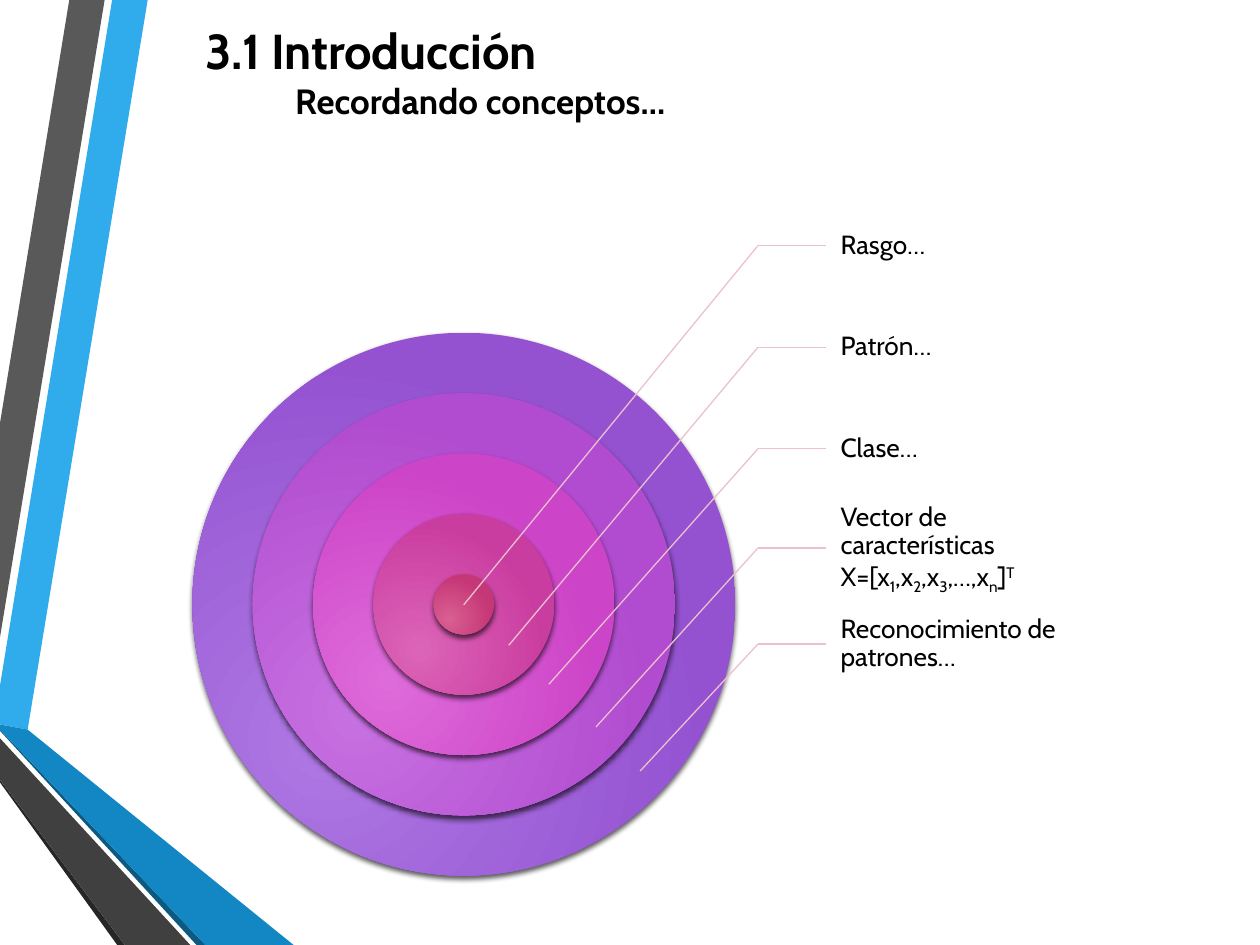
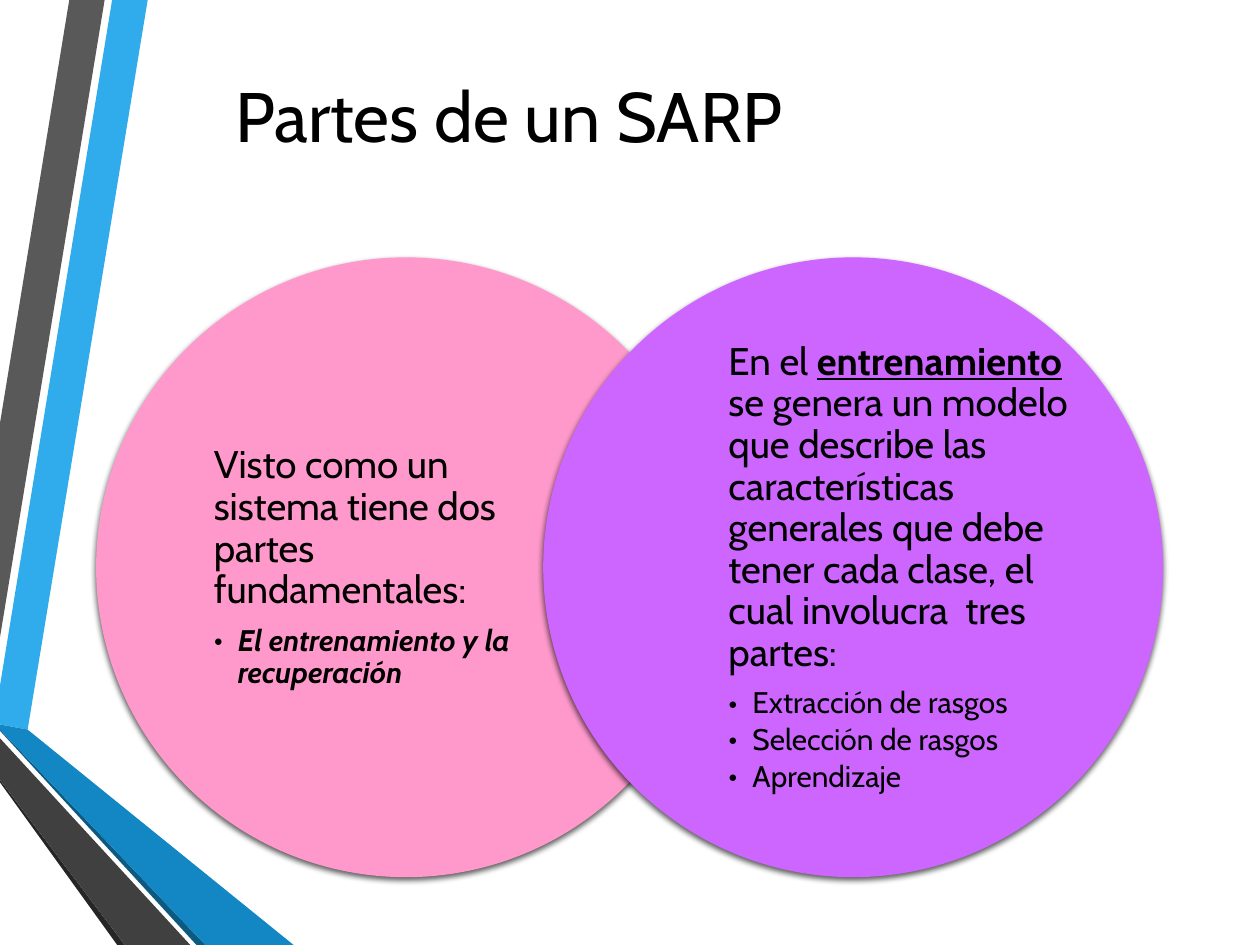
"""Build two slides on pattern recognition: nested concepts and the parts of a SARP."""
from dataclasses import dataclass

from lxml import etree
from pptx import Presentation
from pptx import util as u
from pptx.dml.color import RGBColor
from pptx.enum import shapes, text
from pptx.oxml.ns import qn

Pt = u.Pt


@dataclass(frozen=True)
class Theme:
    font: str = "Cabin"
    ink: str = "000000"
    line: str = "ECC1CF"
    pink: str = "FF99CC"
    purple: str = "CC66FF"
    head: int = 40
    topic: int = 28
    sub: int = 20
    body: int = 22
    item: int = 17
    label: int = 15
    tight: float = 0.9
    bands: tuple = ("30ACEC", "595959", "262626", "0C5A82", "1287C3", "404040")
    rings: tuple = (("AE78E3", "9452D1"), ("C771E1", "B14BCF"), ("DE6BDA", "CC44C7"),
                    ("DC64B7", "CA3DA0"), ("D95F92", "C63777"))


theme = Theme()


def write(box, place, paras, inset=(7.2, 3.6, 7.2, 3.6), space=1.0):
    """Place a box and fill it with paragraphs of (size, gap, bullet, runs)."""
    box.left, box.top, box.width, box.height = [Pt(n) for n in place]
    frame = box.text_frame
    frame.word_wrap = True
    frame.auto_size = text.MSO_AUTO_SIZE.NONE
    frame.vertical_anchor = text.MSO_ANCHOR.MIDDLE
    frame.margin_left, frame.margin_top, frame.margin_right, frame.margin_bottom = [
        Pt(n) for n in inset]
    for i, (size, gap, bullet, runs) in enumerate(paras):
        para = frame.add_paragraph() if i else frame.paragraphs[0]
        para.alignment = text.PP_ALIGN.LEFT
        para.line_spacing = space
        para.space_before, para.space_after = Pt(0), Pt(gap)
        if bullet:
            para.level = 1
            props = para._p.get_or_add_pPr()
            props.set("marL", str(Pt(13.7)))
            props.set("indent", str(-Pt(13.7)))
            etree.SubElement(props, qn("a:buFont")).set("typeface", theme.font)
            etree.SubElement(props, qn("a:buChar")).set("char", "•")
        for words, marks in runs:
            run = para.add_run()
            run.text = words
            run.font.name = theme.font
            run.font.size = Pt(size)
            run.font.color.rgb = RGBColor.from_string(theme.ink)
            run.font.bold = "b" in marks
            run.font.italic = "i" in marks
            run.font.underline = "u" in marks
            shift = {"-": "-25000", "+": "30000"}.get(marks)
            if shift:
                run._r.get_or_add_rPr().set("baseline", shift)


def disc(slide, x, y, size, tones):
    """Draw a shadowed circle around a centre, plain or shaded."""
    shape = slide.shapes.add_shape(shapes.MSO_SHAPE.OVAL, Pt(x - size / 2), Pt(y - size / 2),
                                   Pt(size), Pt(size))
    shape.line.fill.background()
    shape.shadow.inherit = False
    props = shape.element.spPr
    if len(tones) == 1:
        shape.fill.solid()
        shape.fill.fore_color.rgb = RGBColor.from_string(tones[0])
    else:
        shape.fill.gradient()
        for stop, tone, place in zip(shape.fill.gradient_stops, tones, (0, 1)):
            stop.color.rgb = RGBColor.from_string(tone)
            stop.position = place
        grad = props.find(qn("a:gradFill"))
        grad.remove(grad.find(qn("a:lin")))
        path = etree.SubElement(grad, qn("a:path"), path="circle")
        etree.SubElement(path, qn("a:fillToRect"), l="50000", t="100000", r="100000", b="50000")
    shade = etree.SubElement(props.find(qn("a:effectLst")), qn("a:outerShdw"),
                             blurRad=str(Pt(3)), dist=str(Pt(2)), dir="5400000", rotWithShape="0")
    color = etree.SubElement(shade, qn("a:srgbClr"), val=theme.ink)
    etree.SubElement(color, qn("a:alpha"), val="64000")


deck = Presentation()
deck.slide_width, deck.slide_height = Pt(720), Pt(540)
layout = deck.slide_layouts[5]
for holder in list(layout.placeholders)[1:]:
    layout.shapes.element.remove(holder.element)
ideas = deck.slides.add_slide(layout)
parts = deck.slides.add_slide(layout)

edges = [
    [(0, 391.7), (0, 414), (15.8, 416.9), (84.4, 0), (64.1, 0)],
    [(59.8, 0), (39.6, 0), (0, 241.9), (0, 364.3)],
    [(0, 445.7), (0, 447.1), (67, 540), (71.3, 540)],
    [(0, 416.9), (0, 417.6), (112.3, 540), (117.4, 540)],
    [(0, 416.9), (117.4, 540), (167.8, 540), (15.8, 416.9), (0, 414)],
    [(0, 445.7), (71.3, 540), (108.7, 540), (0, 421.9)],
]
bands = []
for edge, tone in zip(edges, theme.bands):
    spots = [(Pt(x), Pt(y)) for x, y in edge]
    pen = ideas.shapes.build_freeform(*spots[0])
    pen.add_line_segments(spots[1:], close=True)
    band = pen.convert_to_shape()
    band.fill.solid()
    band.fill.fore_color.rgb = RGBColor.from_string(tone)
    band.line.fill.background()
    band.shadow.inherit = False
    bands.append(band)
for i, band in enumerate(bands):
    layout.shapes.element.insert(2 + i, band.element)

write(ideas.shapes.title, (161.5, 34.6, 244.1, 46.1),
      [(theme.sub, 0, False, [("Recordando conceptos…", "b")])])
for i, tones in enumerate(theme.rings):
    disc(ideas, 265.1, 345.3, 34.47 * (9 - 2 * i), tones)

vector = [("Vector de características X=[x", ""), ("1", "-"), (",x", ""), ("2", "-"), (",x", ""),
          ("3", "-"), (",…,x", ""), ("n", "-"), ("]", ""), ("T", "+")]
labels = [
    (140.4, (265, 345.6), [("Rasgo…", "")]),
    (198.5, (290.7, 368.8), [("Patrón…", "")]),
    (256.5, (313.7, 391), [("Clase…", "")]),
    (313.2, (340.5, 415.5), vector),
    (368.1, (365.8, 440.6), [("Reconocimiento de patrones…", "")]),
]
bend, side, tall = 433.1, 472.2, 54.7
for y, tip, runs in labels:
    box = ideas.shapes.add_textbox(0, 0, 0, 0)
    write(box, (side, y - tall / 2, 155.5, tall), [(theme.label, 0, False, runs)],
          (8.2, 1.44, 1.44, 1.44), theme.tight)
    for end in ((side, y), tip):
        line = ideas.shapes.add_connector(shapes.MSO_CONNECTOR.STRAIGHT,
                                          Pt(bend), Pt(y), Pt(end[0]), Pt(end[1]))
        line.line.color.rgb = RGBColor.from_string(theme.line)
        line.line.width = Pt(0.75)
        etree.SubElement(line.element.spPr, qn("a:effectLst"))
write(ideas.shapes.add_textbox(0, 0, 0, 0), (110.2, 8.6, 263.5, 39.6),
      [(theme.topic, 0, False, [("3.1 Introducción", "b")])])

write(parts.shapes.title, (127.4, 20.2, 648, 90),
      [(theme.head, 0, False, [("Partes de un SARP", "")])])
whole = [("Visto como un sistema tiene dos partes fundamentales:", "")]
train = [("En el ", ""), ("entrenamiento", "bu"),
         (" se genera un modelo que describe las características generales que debe "
          "tener cada clase, el cual involucra  tres partes:", "")]
halves = [
    (232, 122.2, theme.pink, whole, [("El entrenamiento y la recuperación", "bi")]),
    (487.5, 416.3, theme.purple, train,
     [("Extracción de rasgos", ""), ("Selección de rasgos", ""), ("Aprendizaje", "")]),
]
for x, left, tone, intro, items in halves:
    disc(parts, x, 324.2, 354.2, (tone,))
    paras = [(theme.body, 0.35 * theme.body, False, intro)]
    paras += [(theme.item, 0.15 * theme.item, True, [item]) for item in items]
    write(parts.shapes.add_textbox(0, 0, 0, 0), (left, 189.1, 204.5, 270.7), paras,
          (0, 0, 0, 0), theme.tight)

deck.save("out.pptx")
